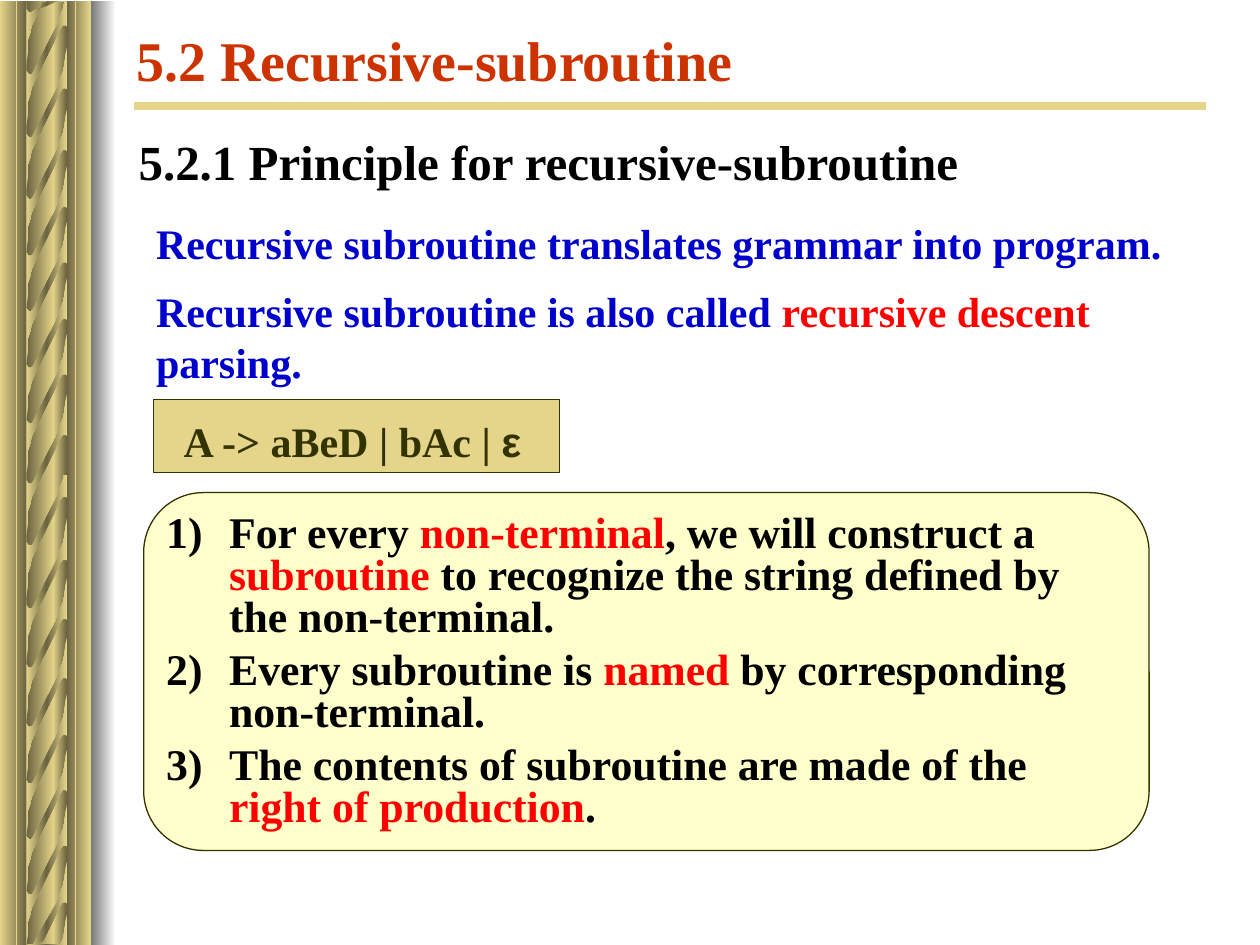
"""Build the slide that introduces the principle of recursive subroutines."""
from copy import deepcopy

from lxml.etree import SubElement
from pptx import Presentation
from pptx.dml.color import RGBColor
from pptx.enum.shapes import MSO_CONNECTOR as Link, MSO_SHAPE as Shape
from pptx.enum.text import MSO_ANCHOR as Anchor, MSO_AUTO_SIZE as AutoSize, PP_ALIGN as Align
from pptx.oxml.ns import qn
from pptx.util import Pt

PX = 9144
HEIGHT = 750
hex_color = RGBColor.from_string
GOLD, BRONZE, OLIVE = "E5D58A", "6A6340", "333300"
BLACK, RED, BLUE = "000000", "FF0000", "0000CC"


def blend(shape, colors):
    shape.shadow.inherit = False
    shape.line.fill.background()
    shape.fill.gradient()
    shape.fill.gradient_angle = 0
    stop_list = shape._element.find(".//" + qn("a:gsLst"))
    while len(stop_list) < len(colors):
        stop_list.append(deepcopy(stop_list[0]))
    for order, (stop, color) in enumerate(zip(shape.fill.gradient_stops, colors)):
        stop.color.rgb = hex_color(color)
        stop.position = order / (len(colors) - 1)


def write(paragraph, size, pieces, **layout):
    for name, value in {"alignment": Align.LEFT, "space_before": Pt(0), **layout}.items():
        setattr(paragraph, name, value)
    for words, color, *typeface in pieces:
        run = paragraph.add_run()
        run.text = words
        run.font.color.rgb = hex_color(color)
        look = {"name": typeface[0] if typeface else "Times New Roman", "size": Pt(size), "bold": True}
        for name, value in look.items():
            setattr(run.font, name, value)


prs = Presentation()
prs.slide_width, prs.slide_height = 1000 * PX, HEIGHT * PX
slide = prs.slides.add_slide(prs.slide_layouts[1])
shapes = slide.shapes

columns = [(42, 11, (GOLD, BRONZE)), (0, 21, (GOLD, BRONZE)),
           (21, 22, (BRONZE, GOLD)), (53, 19, (BRONZE, GOLD))]
strand = [(53, 9), (53, 33), (52, 32), (50, 32), (49, 33), (47, 36), (43, 45), (34, 63),
          (25, 82), (24, 87), (22, 93), (22, 101), (21, 112), (21, 63), (21, 68), (22, 70),
          (23, 71), (24, 71), (25, 71), (26, 70), (45, 33), (48, 24), (50, 19), (51, 14),
          (52, 6), (53, 0), (53, 20)]
halves = [(374, [459, 506, 551, 595, 639, 684, 412, 362]),
          (1, [87, 132, 176, 221, 265, 726, 38, -12, -61, 313])]
for half_top, strand_tops in halves:
    for left, width, colors in columns:
        column = shapes.add_shape(Shape.RECTANGLE, left * PX, half_top * PX, width * PX, 376 * PX)
        blend(column, colors)
    for strand_top in strand_tops:
        outline = [(x, min(max(y + strand_top, half_top), HEIGHT)) for x, y in strand]
        twist = shapes.build_freeform(*outline[0], scale=PX)
        twist.add_line_segments(outline[1:], close=True)
        blend(twist.convert_to_shape(), (GOLD, BRONZE, GOLD))

edge = shapes.add_shape(Shape.RECTANGLE, 72 * PX, PX, 20 * PX, 749 * PX)
blend(edge, ("767676", "FFFFFF"))

rules = [(13, 1, 13, HEIGHT, 1), (60, 1, 60, HEIGHT, 1), (106, 84, 957, 84, 4.5)]
for *ends, weight in rules:
    rule = shapes.add_connector(Link.STRAIGHT, *[end * PX for end in ends])
    rule.line.color.rgb = hex_color(GOLD)
    rule.line.width = Pt(weight)
    SubElement(rule._element.spPr, qn("a:effectLst"))

title, heading = shapes.title, slide.placeholders[1]
headings = [
    (title, (98, 21, 842, 58), Anchor.MIDDLE, 32, "5.2 Recursive-subroutine", "CC3300", 0.9),
    (heading, (100, 99, 798, 67), Anchor.TOP, 28,
     "5.2.1 Principle for recursive-subroutine", BLACK, 1.0),
]
for holder, place, anchor, size, words, color, spacing in headings:
    for name, value in zip(("left", "top", "width", "height"), place):
        setattr(holder, name, value * PX)
    frame = holder.text_frame
    frame.auto_size, frame.vertical_anchor = AutoSize.NONE, anchor
    properties = frame.paragraphs[0]._p.get_or_add_pPr()
    properties.set("marL", "0")
    properties.set("indent", "0")
    SubElement(properties, qn("a:buNone"))
    write(frame.paragraphs[0], size, [(words, color)], line_spacing=spacing)

panels = [(Shape.ROUNDED_RECTANGLE, (114, 391, 798, 284), "FFFFCC"),
          (Shape.RECTANGLE, (122, 317, 322, 58), GOLD)]
for outline, place, color in panels:
    panel = shapes.add_shape(outline, *[length * PX for length in place])
    panel.shadow.inherit = False
    panel.fill.solid()
    panel.fill.fore_color.rgb = hex_color(color)
    panel.line.color.rgb = hex_color(OLIVE)
    panel.line.width = Pt(0.75)

statements = [
    ((114, 168, 843, 50), [("Recursive subroutine translates grammar into program.", BLUE)]),
    ((114, 222, 827, 90), [("Recursive subroutine is also called ", BLUE),
                           ("recursive descent", RED), (" parsing.", BLUE)]),
    ((136, 325, 336, 50), [("A -> aBeD | bAc | ", OLIVE), ("ε", OLIVE, "Arial")]),
]
for place, pieces in statements:
    frame = shapes.add_textbox(*[length * PX for length in place]).text_frame
    frame.word_wrap = True
    write(frame.paragraphs[0], 24, pieces)

principles = [
    [("For every ", BLACK), ("non-terminal", RED), (", we will construct a ", BLACK),
     ("subroutine", RED), (" to recognize the string defined by the non-terminal.", BLACK)],
    [("Every subroutine is ", BLACK), ("named", RED),
     (" by corresponding non-terminal.", BLACK)],
    [("The contents of subroutine are made of the ", BLACK),
     ("right of production", RED), (".", BLACK)],
]
frame = shapes.add_textbox(122 * PX, 404 * PX, 781 * PX, 261 * PX).text_frame
frame.word_wrap = True
for order, pieces in enumerate(principles):
    principle = frame.add_paragraph() if order else frame.paragraphs[0]
    properties = principle._p.get_or_add_pPr()
    properties.set("marL", str(50 * PX))
    properties.set("indent", str(-50 * PX))
    bullet_color = SubElement(properties, qn("a:buClr"))
    SubElement(bullet_color, qn("a:srgbClr"), val=BLACK)
    SubElement(properties, qn("a:buAutoNum"), type="arabicParenR")
    write(principle, 25, pieces, line_spacing=0.8, space_before=Pt(6.2 if order else 0))

prs.save("out.pptx")
